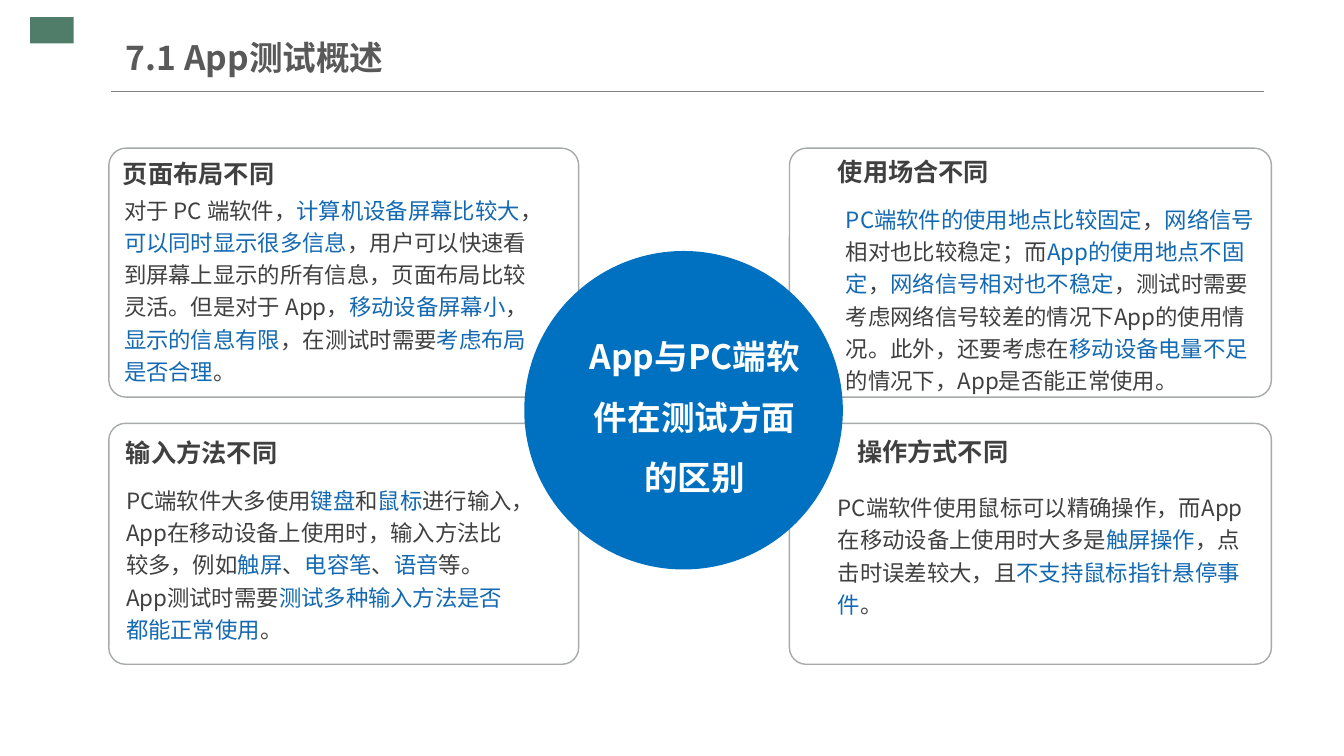
from lxml.etree import SubElement
from pptx import Presentation
from pptx.dml.color import RGBColor
from pptx.enum.shapes import MSO_CONNECTOR, MSO_SHAPE
from pptx.enum.text import MSO_ANCHOR, PP_ALIGN
from pptx.oxml.ns import qn
from pptx.util import Inches, Pt

FONT = "Noto Sans CJK SC"
GREEN = RGBColor(0x4F, 0x7D, 0x6A)
RULE = RGBColor(0x80, 0x80, 0x80)
BORDER = RGBColor(0xA6, 0xAA, 0xA9)
TITLE = RGBColor(0x59, 0x59, 0x59)
DARK = RGBColor(0x40, 0x40, 0x40)
BLUE = RGBColor(0x13, 0x69, 0xB2)
CIRCLE = RGBColor(0x00, 0x70, 0xC0)
WHITE = RGBColor(0xFF, 0xFF, 0xFF)

prs = Presentation()
prs.slide_width, prs.slide_height = Inches(13.33), Inches(7.5)
s = prs.slides.add_slide(prs.slide_layouts[6])


def add_text(text, box, size=16, color=DARK, bold=False, align=PP_ALIGN.LEFT,
             anchor=MSO_ANCHOR.TOP, spacing=1.2):
    """Add a text box; the parts between asterisks are blue."""
    tf = s.shapes.add_textbox(*map(Inches, box)).text_frame
    tf.word_wrap = True
    tf.vertical_anchor = anchor
    tf.margin_left = tf.margin_right = tf.margin_top = tf.margin_bottom = 0
    p = tf.paragraphs[0]
    p.alignment, p.line_spacing = align, spacing
    for i, part in enumerate(text.split("*")):
        if part:
            r = p.add_run()
            r.text = part
            r.font.name, r.font.size, r.font.bold = FONT, Pt(size), bold
            r.font.color.rgb = BLUE if i % 2 else color
            SubElement(r.font._element, qn("a:ea"), typeface=FONT)


def add_shape(kind, box, fill=None, line=None):
    sp = s.shapes.add_shape(kind, *map(Inches, box))
    sp.shadow.inherit = False
    if fill is None:
        sp.fill.background()
    else:
        sp.fill.solid()
        sp.fill.fore_color.rgb = fill
    if line is None:
        sp.line.fill.background()
    else:
        sp.line.color.rgb, sp.line.width = line, Pt(1)
    return sp


# Header
add_shape(MSO_SHAPE.RECTANGLE, (0.3, 0.17, 0.43, 0.26), fill=GREEN)
rule = s.shapes.add_connector(MSO_CONNECTOR.STRAIGHT, Inches(1.1), Inches(0.91),
                              Inches(12.54), Inches(0.91))
rule.line.color.rgb, rule.line.width = RULE, Pt(0.75)
SubElement(rule._element.spPr, qn("a:effectLst"))
add_text("7.1 App测试概述", (1.25, 0.29, 4.26, 0.55), size=24, color=TITLE,
         bold=True, anchor=MSO_ANCHOR.MIDDLE, spacing=1)

# Cards in two columns and two rows, with the circle over their inner corners
COLUMNS = [(1.08, 4.66), (7.83, 4.78)]
ROWS = [(1.47, 2.47), (4.2, 2.39)]
for left, width in COLUMNS:
    for top, height in ROWS:
        card = add_shape(MSO_SHAPE.ROUNDED_RECTANGLE, (left, top, width, height),
                         line=BORDER)
        card.adjustments[0] = 0.069
add_shape(MSO_SHAPE.OVAL, (5.2, 2.49, 3.16, 3.16), fill=CIRCLE)

# Heading, its box, alignment and line spacing, then body and its box
LEFT_HEAD = (PP_ALIGN.LEFT, 1.2)
RIGHT_HEAD = (PP_ALIGN.RIGHT, 1)
CARDS = [
    ("页面布局不同", (1.22, 1.47, 2.04, 0.44), LEFT_HEAD,
     "对于 PC 端软件，*计算机设备屏幕比较大*，*可以同时显示很多信息*，"
     "用户可以快速看到屏幕上显示的所有信息，页面布局比较灵活。但是对于 App，"
     "*移动设备屏幕小*，*显示的信息有限*，在测试时需要*考虑布局是否合理*。",
     (1.23, 1.9, 4.01, 1.92)),
    ("输入方法不同", (1.25, 4.24, 2.04, 0.44), LEFT_HEAD,
     "PC端软件大多使用*键盘*和*鼠标*进行输入，App在移动设备上使用时，"
     "输入方法比较多，例如*触屏*、*电容笔*、*语音*等。"
     "App测试时需要*测试多种输入方法是否都能正常使用*。",
     (1.25, 4.78, 3.92, 1.57)),
    ("使用场合不同", (8.28, 1.48, 1.53, 0.44), RIGHT_HEAD,
     "*PC端软件的使用地点比较固定*，*网络信号*相对也比较稳定；而"
     "*App的使用地点不固定*，*网络信号相对也不稳定*，"
     "测试时需要考虑网络信号较差的情况下App的使用情况。此外，还要考虑在"
     "*移动设备电量不足*的情况下，App是否能正常使用。",
     (8.39, 1.99, 4.13, 1.91)),
    ("操作方式不同", (8.36, 4.26, 1.64, 0.44), RIGHT_HEAD,
     "PC端软件使用鼠标可以精确操作，而App在移动设备上使用时大多是"
     "*触屏操作*，点击时误差较大，且*不支持鼠标指针悬停事件*。",
     (8.31, 4.85, 4.18, 1.49)),
]
for heading, head_box, (align, spacing), body, body_box in CARDS:
    add_text(body, body_box)
    add_text(heading, head_box, size=18, bold=True, align=align,
             anchor=MSO_ANCHOR.MIDDLE, spacing=spacing)

add_text("App与PC端软件在测试方面的区别", (5.74, 3.18, 2.3, 1.71), size=24,
         color=WHITE, bold=True, align=PP_ALIGN.CENTER,
         anchor=MSO_ANCHOR.MIDDLE, spacing=1.5)

prs.save("out.pptx")
